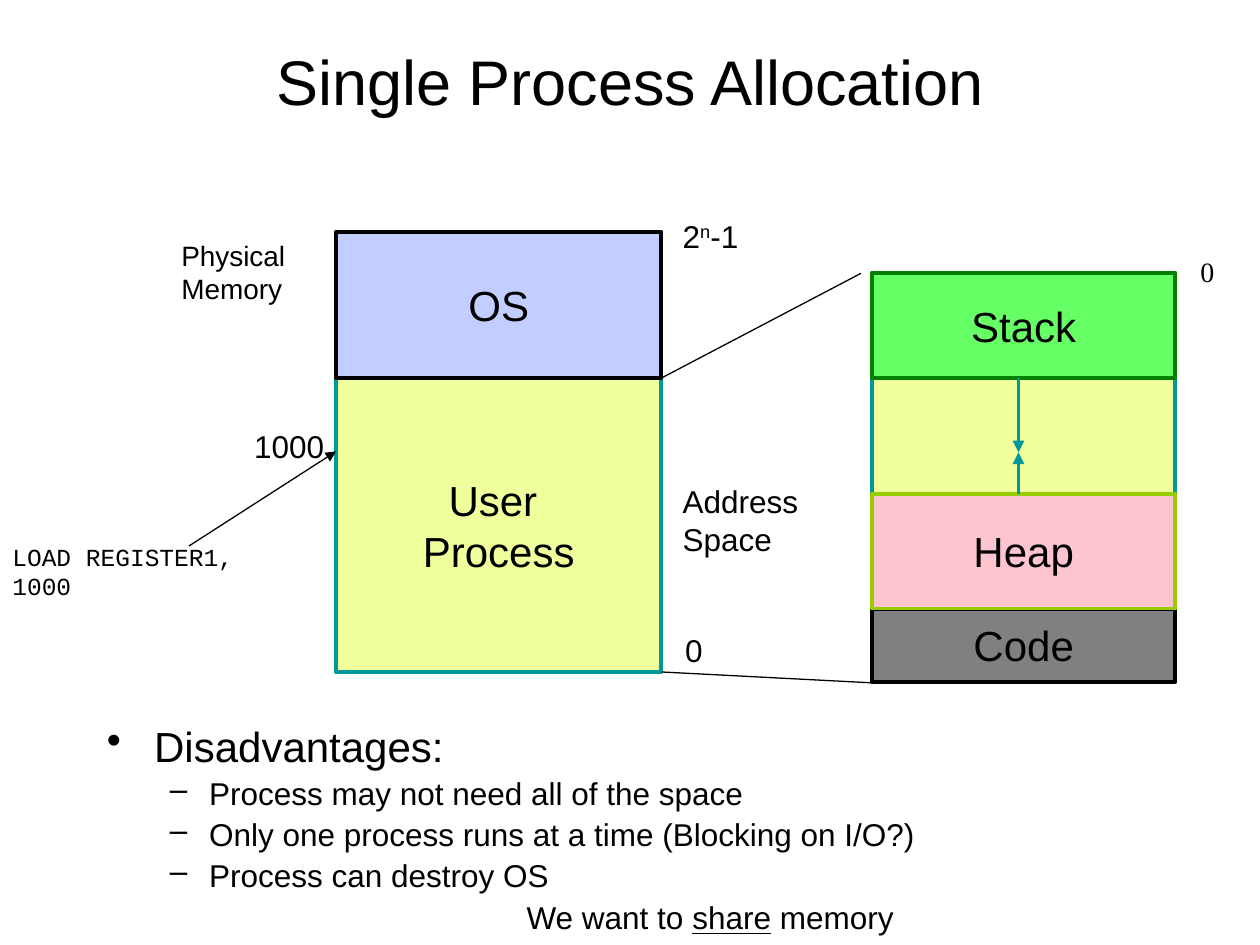
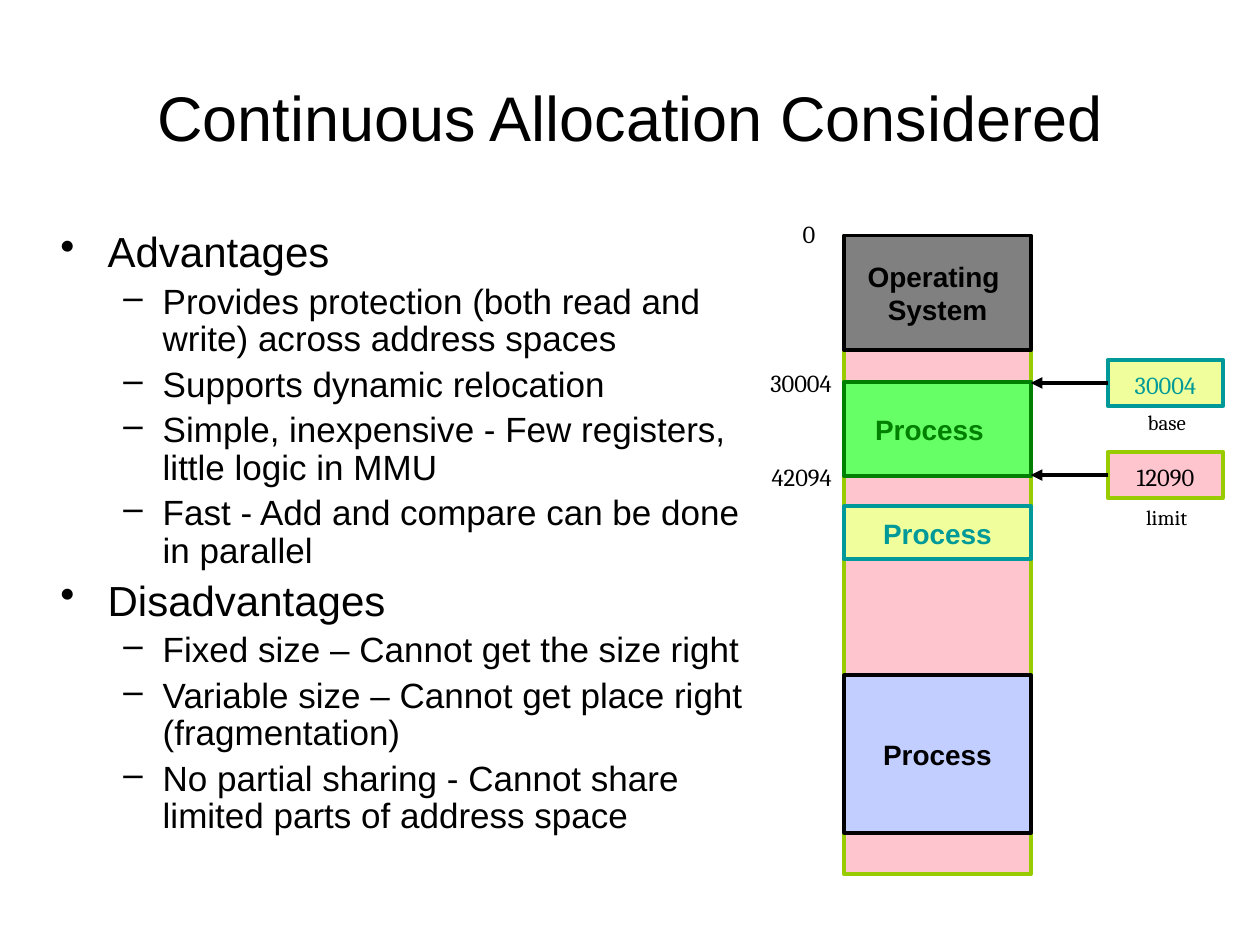
from lxml.etree import SubElement
from pptx import Presentation
from pptx.dml.color import RGBColor
from pptx.enum.shapes import MSO_CONNECTOR as Connector, MSO_SHAPE as Preset
from pptx.enum.text import MSO_ANCHOR as Anchor, MSO_AUTO_SIZE as AutoSize, PP_ALIGN as Align
from pptx.oxml.ns import qn
from pptx.util import Pt

COLORS = {
    "black": "000000", "gray": "808080", "blue": "C1CEFF", "yellow": "F0FF9B",
    "teal": "009999", "green": "66FF66", "dark_green": "008000",
    "pink": "FFC5CF", "lime": "99CC00",
}
STYLES = {
    "os": ("blue", "black"), "user": ("yellow", "teal"), "stack": ("green", "dark_green"),
    "heap": ("pink", "lime"), "code": ("gray", "black"),
}
BULLETS = (("•", 27, -27), ("–", 58.5, -22.5))


def color(name):
    return RGBColor.from_string(COLORS[name])


def add_run(paragraph, text, size, font="Arial", ink="black", bold=False, **attributes):
    run = paragraph.add_run()
    run.text = text
    run.font.name, run.font.size, run.font.bold = font, Pt(size), bold
    run.font.color.rgb = color(ink)
    for name, value in attributes.items():
        run._r.get_or_add_rPr().set(name, value)


def write(frame, text, size, align=Align.LEFT, **style):
    paragraph = frame.paragraphs[0]
    paragraph.alignment = align
    for index, line in enumerate(text.split("\n")):
        if index:
            paragraph.add_line_break()
        add_run(paragraph, line, size, **style)


def add_box(slide, box, anchor=Anchor.TOP, wrap=True, grow=False):
    frame = slide.shapes.add_textbox(*map(Pt, box)).text_frame
    frame.word_wrap = wrap
    frame.vertical_anchor = anchor
    if grow:
        frame.auto_size = AutoSize.SHAPE_TO_FIT_TEXT
    return frame


def add_label(slide, box, text, size=18, wrap=False, anchor=Anchor.TOP, **style):
    write(add_box(slide, box, anchor, wrap, grow=True), text, size, **style)


def add_title(slide, box, text):
    write(add_box(slide, box, Anchor.MIDDLE), text, 36, Align.CENTER)


def add_outline(slide, box, items, sizes, spacings):
    frame = add_box(slide, box)
    for index, (level, text) in enumerate(items):
        paragraph = frame.paragraphs[0] if index == 0 else frame.add_paragraph()
        bullet, margin, indent = BULLETS[level]
        paragraph.level = level
        paragraph.line_spacing = spacings[level]
        paragraph.space_before = Pt(sizes[level] * 0.23)
        properties = paragraph._p.get_or_add_pPr()
        properties.set("marL", str(Pt(margin)))
        properties.set("indent", str(Pt(indent)))
        SubElement(properties, qn("a:buChar")).set("char", bullet)
        add_run(paragraph, text, sizes[level])


def add_block(slide, box, style, text="", size=24, anchor=Anchor.MIDDLE, right_inset=7.2, **font):
    fill, line = STYLES[style]
    shape = slide.shapes.add_shape(Preset.RECTANGLE, *map(Pt, box))
    shape.shadow.inherit = False
    shape.fill.solid()
    shape.fill.fore_color.rgb = color(fill)
    shape.line.color.rgb = color(line)
    shape.line.width = Pt(2.25)
    if text:
        frame = shape.text_frame
        frame.word_wrap = False
        frame.vertical_anchor = anchor
        frame.margin_right = Pt(right_inset)
        write(frame, text, size, Align.CENTER, **font)


def add_line(slide, start, end, width=0.75, ink="black", arrow=False):
    connector = slide.shapes.add_connector(Connector.STRAIGHT, *map(Pt, start + end))
    connector.line.color.rgb = color(ink)
    connector.line.width = Pt(width)
    if arrow:
        SubElement(connector.line._get_or_add_ln(), qn("a:tailEnd")).set("type", "triangle")
    SubElement(connector._element.spPr, qn("a:effectLst"))


def add_physical_memory(slide, box):
    left, top, width, height = box
    split = 83.5
    right, bottom = left + width, top + height
    add_block(slide, (left, top + split, width, height - split), "user", "User \nProcess")
    add_block(slide, (left, top, width, split), "os", "OS")
    add_label(slide, (left - 95.5, top, 82, 46), "Physical\u0020Memory", 16, wrap=True)
    add_label(slide, (right + 6.5, bottom - 27, 24.5, 29), "0")
    exponent = add_box(slide, (right + 5, top - 12.3, 46.8, 29), wrap=False, grow=True)
    for text, attributes in (("2", {}), ("n", {"baseline": "30000"}), ("-1", {})):
        add_run(exponent.paragraphs[0], text, 18, **attributes)
    add_label(slide, (right + 5, top + 139.5, 80.6, 50), "Address\nSpace")
    add_label(slide, (left - 53.8, top + 108, 54.7, 29), "1000")
    add_label(slide, (0, top + 173.5, 180, 40), "LOAD REGISTER1, 1000", 14,
              wrap=True, font="Courier New")
    add_line(slide, (left - 84, top + 179.5), (left, top + 125.5), arrow=True)


def add_address_space(slide, box):
    left, top, width, height = box
    stack, heap, code = 59.8, 126, 191.6
    add_block(slide, box, "user")
    for style, text, start, end in (
        ("stack", "Stack", 0, stack), ("code", "Code", code, height), ("heap", "Heap", heap, code),
    ):
        add_block(slide, (left, top + start, width, end - start), style, text)
    center, meeting = left + 83.8, top + 102.3
    for start in (stack, heap):
        add_line(slide, (center, top + start), (center, meeting), 2.25, "teal", True)
    add_label(slide, (left + width + 7.2, top - 14.4, 22.3, 26.6), "0", 16, font="Times New Roman")


def add_allocation_column(slide, box):
    left, top, width, height = box
    add_block(slide, box, "heap")
    for style, text, offset, tall, ink, right_inset in (
        ("code", "Operating \nSystem", 0, 65.5, "black", 7.2),
        ("os", "Process", 251.3, 90, "black", 7.2),
        ("user", "Process", 154.8, 30.2, "teal", 7.2),
        ("stack", "Process", 83.5, 54, "dark_green", 16.2),
    ):
        add_block(slide, (left, top + offset, width, tall), style, text, 16,
                  right_inset=right_inset, bold=True, ink=ink)
    for text, offset, gap, wide in (("0", -13, 9.4, 31), ("30004", 72, 0, 66.2), ("42094", 126, 0, 66.2)):
        add_label(slide, (left - gap - wide, top + offset, wide, 23.8), text, 14, wrap=True,
                  anchor=Anchor.BOTTOM, align=Align.RIGHT, font="Cambria")


def add_register(slide, box, style, value, caption, caption_gap, target, ink):
    left, top, width, height = box
    add_block(slide, box, style, value, 14, Anchor.BOTTOM, font="Cambria", ink=ink)
    add_label(slide, (left + 4.3, top + caption_gap, 59, 21.6), caption, 12, wrap=True,
              anchor=Anchor.BOTTOM, align=Align.CENTER, font="Cambria")
    middle = top + height / 2
    add_line(slide, (left, middle), (target, middle), 2.25, arrow=True)


def build_single_process(slide):
    add_title(slide, (36, 12, 648, 68), "Single Process Allocation")
    add_outline(slide, (54, 408, 534, 76), (
        (0, "Disadvantages:"),
        (1, "Process may not need all of the space"),
        (1, "Only one process runs at a time (Blocking on I/O?)"),
        (1, "Process can destroy OS"),
    ), (24, 18), (1.0, 0.9))
    add_physical_memory(slide, (192, 132.5, 186, 251.5))
    add_address_space(slide, (498.2, 156.2, 173.5, 233.3))
    add_line(slide, (378, 216), (492, 156.2))
    add_line(slide, (378, 384), (498.2, 390.2))
    closing = add_box(slide, (293.8, 509.8, 224.6, 29), wrap=False, grow=True)
    for text, attributes in (("We want to ", {}), ("share", {"u": "sng"}), (" memory", {})):
        add_run(closing.paragraphs[0], text, 18, **attributes)


def build_continuous(slide):
    add_title(slide, (36, 21.6, 648, 90), "Continuous Allocation Considered")
    add_outline(slide, (27.4, 128.9, 414.7, 388.8), (
        (0, "Advantages"),
        (1, "Provides protection (both read and write) across address spaces"),
        (1, "Supports dynamic relocation"),
        (1, "Simple, inexpensive - Few registers, little logic in MMU"),
        (1, "Fast - Add and compare can be done in parallel"),
        (0, "Disadvantages"),
        (1, "Fixed size – Cannot get the size right"),
        (1, "Variable size – Cannot get place right (fragmentation)"),
        (1, "No partial sharing - Cannot share limited parts of address space"),
    ), (24, 20), (0.89, 0.89))
    add_allocation_column(slide, (482.4, 134.6, 106.6, 365))
    add_register(slide, (632.9, 205.9, 66.2, 25.9), "user", "30004", "base", 24.5, 589, "teal")
    add_register(slide, (632.9, 258.5, 66.2, 25.9), "heap", "12090", "limit", 25.9, 589, "black")


presentation = Presentation()
presentation.slide_width, presentation.slide_height = Pt(720), Pt(540)
for build in (build_single_process, build_continuous):
    build(presentation.slides.add_slide(presentation.slide_layouts[6]))
presentation.save("out.pptx")
